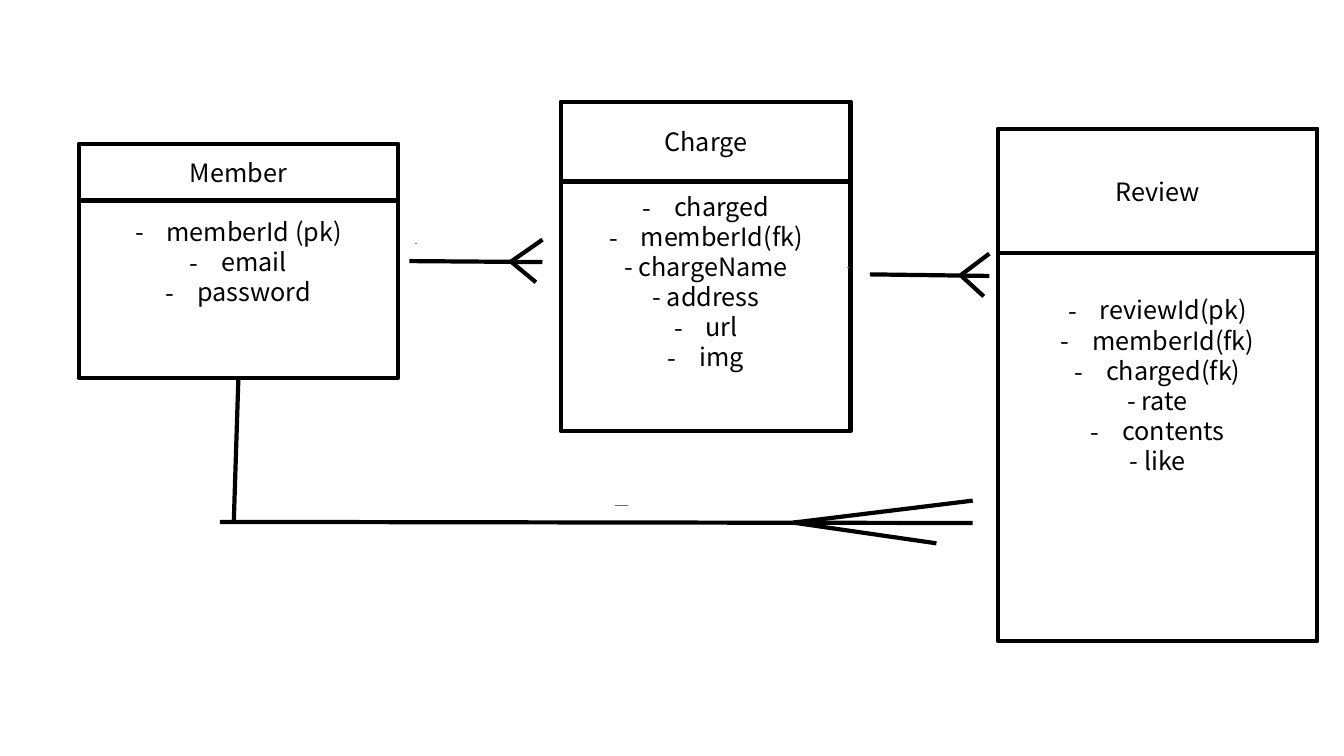
from dataclasses import dataclass

from lxml import etree
from pptx import Presentation
from pptx import util as u
from pptx.dml.color import RGBColor
from pptx.enum import shapes, text
from pptx.oxml import ns


@dataclass(frozen=True)
class Theme:
    ink: RGBColor = RGBColor(0, 0, 0)
    accent: RGBColor = RGBColor(0x44, 0x72, 0xC4)
    font: str = "Noto Sans CJK KR"
    size: float = 18
    leading: float = 21.5
    outline: float = 3
    hairline: float = 0.5
    indent: float = 22.5


theme = Theme()


def write_text(box, lines, top_inset=3.6, bulleted=()):
    """Fill a box with centred lines; the named lines get a dash bullet."""
    frame = box.text_frame
    frame.word_wrap = True
    frame.vertical_anchor = text.MSO_ANCHOR.MIDDLE
    frame.margin_top = u.Pt(top_inset)
    for index, line in enumerate(lines):
        para = frame.paragraphs[0] if index == 0 else frame.add_paragraph()
        para.alignment = text.PP_ALIGN.CENTER
        para.line_spacing = u.Pt(theme.leading)
        span = para.add_run()
        span.text = line
        span.font.size = u.Pt(theme.size)
        span.font.name = theme.font
        span.font.color.rgb = theme.ink
        east_asian = etree.SubElement(span.font._element, ns.qn("a:ea"))
        east_asian.set("typeface", theme.font)
        if line in bulleted:
            props = para._p.get_or_add_pPr()
            props.set("marL", str(u.Pt(theme.indent)))
            props.set("indent", str(-u.Pt(theme.indent)))
            etree.SubElement(props, ns.qn("a:buFont")).set("typeface", theme.font)
            etree.SubElement(props, ns.qn("a:buChar")).set("char", "-")


def draw_line(page, start, end, color=theme.ink, width=theme.outline):
    """Draw a straight line between two points."""
    line = page.shapes.add_connector(
        shapes.MSO_CONNECTOR.STRAIGHT, *(u.Pt(value) for value in (*start, *end)))
    line.line.color.rgb = color
    line.line.width = u.Pt(width)
    etree.SubElement(line._element.spPr, ns.qn("a:effectLst"))
    return line


deck = Presentation()
deck.slide_width, deck.slide_height = u.Pt(960), u.Pt(540)
page = deck.slides.add_slide(deck.slide_layouts[6])

# Entities: name, left, top, width, height, header height, top inset, fields
entities = [
    ("Member", 56.2, 103, 228.2, 167, 40.3, 3.6,
     ["memberId (pk)", "email", "password"]),
    ("Charge", 401, 72.7, 206.6, 235.4, 56.9, 25.1,
     ["charged", "memberId(fk)", "- chargeName", "- address", "url", "img"]),
    ("Review", 712.8, 92.2, 228.2, 365.8, 88.6, 3.6,
     ["reviewId(pk)", "memberId(fk)", "charged(fk)", "- rate", "contents", "- like"]),
]
bodies = {}
for name, left, top, width, height, header, inset, fields in entities:
    dashed = [field for field in fields if not field.startswith("-")]
    for part_height, lines, top_inset in ((height, fields, inset), (header, [name], 3.6)):
        box = page.shapes.add_shape(
            shapes.MSO_SHAPE.RECTANGLE,
            u.Pt(left), u.Pt(top), u.Pt(width), u.Pt(part_height))
        box.shadow.inherit = False
        box.fill.background()
        box.line.color.rgb = theme.ink
        box.line.width = u.Pt(theme.outline)
        write_text(box, lines, top_inset=top_inset, bulleted=dashed)
        if lines is fields:
            bodies[name] = box

# Crow's-foot relations: stem start, stem end, fork, upper tip, lower tip
relations = [
    ((292.5, 186.5), (387.5, 187.2), (365, 186.9), (387.5, 171.2), (382.8, 201.6)),
    ((621.4, 196), (706.7, 197.1), (686.2, 196.6), (706.7, 181.2), (702.7, 211.7)),
    ((157, 372.8), (694.8, 373.6), (566.6, 373.3), (694.8, 357.6), (668.9, 388.1)),
]
for stem_start, stem_end, fork, upper, lower in relations:
    draw_line(page, stem_start, stem_end)
    for tip in (upper, lower):
        draw_line(page, fork, tip)

# Drop from Member to the long relation
drop = draw_line(page, (170.3, 270), (167, 372.8))
drop.begin_connect(bodies["Member"], 2)

# Small accent ticks
for left, top, length in ((296.8, 174, 1.4), (604.8, 191, 1.4), (439.1, 361, 9.4)):
    draw_line(page, (left, top), (left + length, top),
              color=theme.accent, width=theme.hairline)

deck.save("out.pptx")
